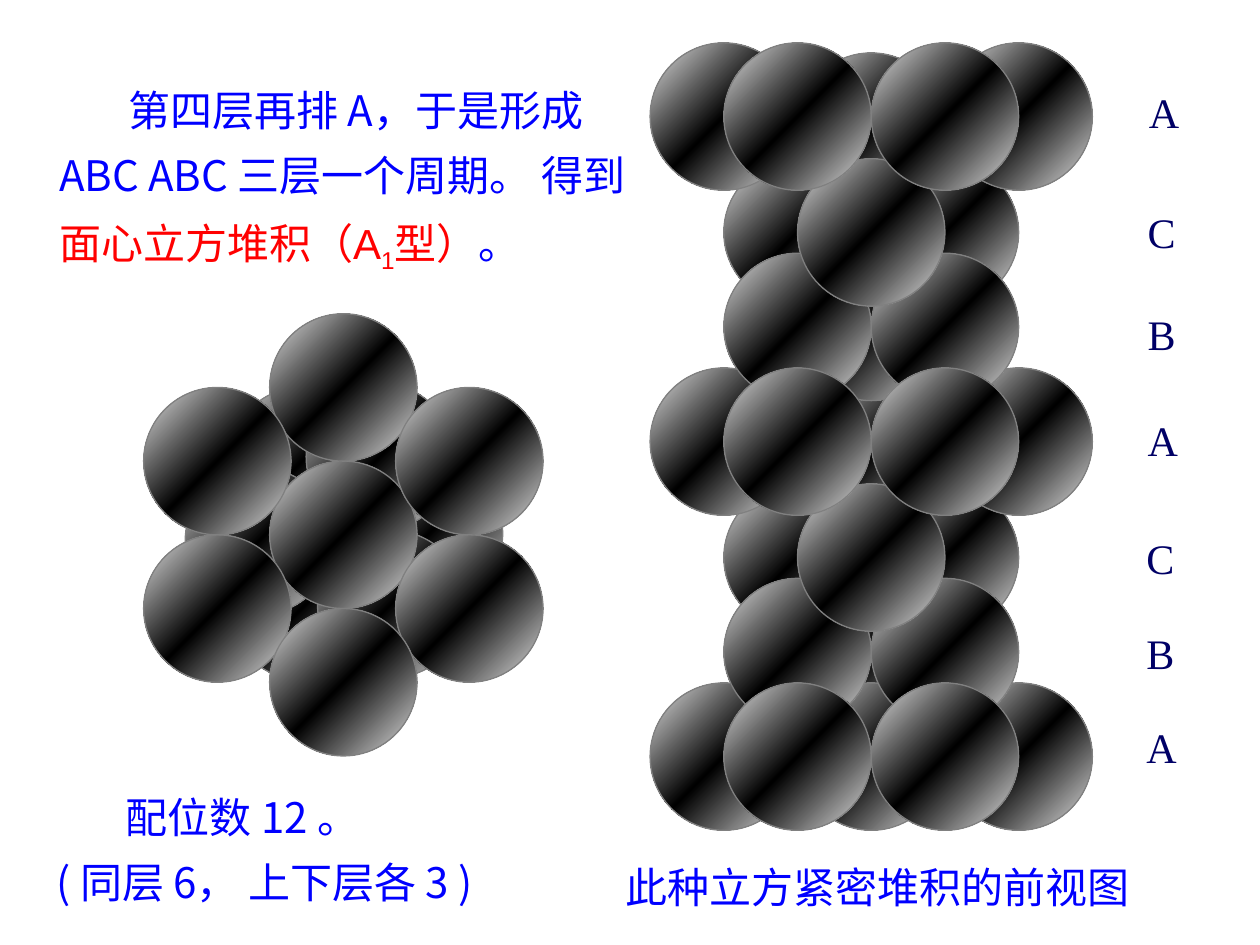
import copy

import pptx
import pptx.dml.color
import pptx.enum.shapes
import pptx.oxml.ns
import pptx.util
from lxml import etree

Inches = pptx.util.Inches
Pt = pptx.util.Pt
qn = pptx.oxml.ns.qn

THEME = {
    "blue": "0000FF", "red": "FF0000", "navy": "000066", "outline": "808080",
    "lower_sphere": "E0E0E0", "sphere": "E7E7E7", "band": "000000",
    "size": 24, "serif": "Times New Roman", "sans": "Arial", "chinese": "Noto Sans CJK SC",
}
DIAMETER = 1.17
rgb = pptx.dml.color.RGBColor.from_string

presentation = pptx.Presentation()
presentation.slide_width = Inches(10)
presentation.slide_height = Inches(7.5)
slide = presentation.slides.add_slide(presentation.slide_layouts[6])


def add_sphere(left, top, edge=THEME["sphere"]):
    shape = slide.shapes.add_shape(pptx.enum.shapes.MSO_SHAPE.OVAL, Inches(left), Inches(top),
                                   Inches(DIAMETER), Inches(DIAMETER))
    shape.shadow.inherit = False
    shape.line.color.rgb = rgb(THEME["outline"])
    shape.line.width = Pt(0.75)
    shape.fill.gradient()
    shape.fill.gradient_angle = 315
    # A third gradient stop makes the dark band in the middle
    stop_list = shape.element.spPr.find(".//" + qn("a:gsLst"))
    stop_list.append(copy.deepcopy(stop_list[0]))
    stops = zip(shape.fill.gradient_stops, (0, 0.5, 1), (edge, THEME["band"], edge))
    for stop, position, color in stops:
        stop.color.rgb = rgb(color)
        stop.position = position


def add_text(left, top, width, height, paragraphs, line_spacing=1.0, first_indent=0):
    """Each paragraph is a list of (text, font, color, baseline) runs."""
    box = slide.shapes.add_textbox(Inches(left), Inches(top), Inches(width), Inches(height))
    frame = box.text_frame
    frame.word_wrap = True
    for index, runs in enumerate(paragraphs):
        paragraph = frame.add_paragraph() if index else frame.paragraphs[0]
        paragraph.line_spacing = line_spacing
        if first_indent and index == 0:
            paragraph._p.get_or_add_pPr().set("indent", str(Inches(first_indent)))
        for text, font, color, baseline in runs:
            run = paragraph.add_run()
            run.text = text
            for name, value in {"size": Pt(THEME["size"]), "name": font}.items():
                setattr(run.font, name, value)
            run.font.color.rgb = rgb(color)
            properties = run._r.get_or_add_rPr()
            etree.SubElement(properties, qn("a:ea")).set("typeface", THEME["chinese"])
            if baseline:
                properties.set("baseline", str(baseline))
    return frame


# Top view: partly covered B and C layers, then the hexagonal A layer
for left, top in [(1.82, 3.07), (2.82, 3.65), (1.82, 4.23),
                  (2.43, 3.04), (2.52, 4.21), (1.47, 3.71)]:
    add_sphere(left, top, THEME["lower_sphere"])
for column, row in [(0, 0), (0, -2), (1, -1), (-1, 1), (1, 1), (0, 2), (-1, -1)]:
    add_sphere(2.14 + column, 3.66 + row * DIAMETER / 2)

# Front view: columns count in sphere radii from the centre, rows are layer tops
FLOOR_A, LOWER_A, UPPER_A = 5.42, 2.92, 0.34
C_DROP, B_DROP, BACK_DROP = 0.92, 1.67, 0.08
back_of_period = [(0, B_DROP), (-1, C_DROP), (1, C_DROP), (2, 0), (0, BACK_DROP), (-1, 0), (-2, 0)]
front_of_period = [(-1, B_DROP), (1, B_DROP), (0, C_DROP)]
front_of_a = [(-1, 0), (1, 0)]
drawing_order = [
    (LOWER_A, back_of_period),
    (FLOOR_A, [(0, 0), (-2, 0), (2, 0)]),
    (LOWER_A, front_of_period),
    (FLOOR_A, front_of_a),
    (UPPER_A, [place for place in back_of_period if place != (-1, 0)] + [(-1, 0)][:0]),
    (UPPER_A, front_of_period + front_of_a),
    (LOWER_A, front_of_a),
]
# The back-left sphere of each A layer is the far-left one, so front ones come once
for layer_top, places in drawing_order:
    for column, drop in places:
        if places is back_of_period and (column, drop) == (-1, 0):
            continue
        add_sphere(6.33 + column * DIAMETER / 2, layer_top + drop)

# Layer letters
for letter, left, top in [("A", 9.02, 0.64), ("C", 9.01, 1.59), ("B", 9.01, 2.4), ("A", 9.01, 3.24),
                          ("C", 9, 4.18), ("B", 9, 4.93), ("A", 9, 5.68)]:
    add_text(left, top, 0.58, 0.5, [[(letter, THEME["serif"], THEME["navy"], 0)]])

# Explanation, coordination number and caption
chinese, blue, red = THEME["chinese"], THEME["blue"], THEME["red"]
explanation = add_text(0.37, 0.5, 4.88, 1.75, [[
    ("第四层再排 A，于是形成 ABC ABC 三层一个周期。 得到", chinese, blue, 0),
    ("面心立方堆积（", chinese, red, 0),
    ("A", THEME["sans"], red, 0),
    ("1", THEME["sans"], red, -25000),
    ("型）", chinese, red, 0),
    ("。", chinese, blue, 0),
]], line_spacing=1.3, first_indent=0.55)
explanation.margin_right = Inches(0.28)
add_text(0.35, 6.11, 4.4, 1.14, [
    [("配位数 12 。", chinese, blue, 0)],
    [("( 同层 6， 上下层各 3 )", chinese, blue, 0)],
], line_spacing=1.3, first_indent=0.55)
add_text(4.87, 6.79, 4.46, 0.5, [[("此种立方紧密堆积的前视图", THEME["serif"], blue, 0)]])

presentation.save("out.pptx")
